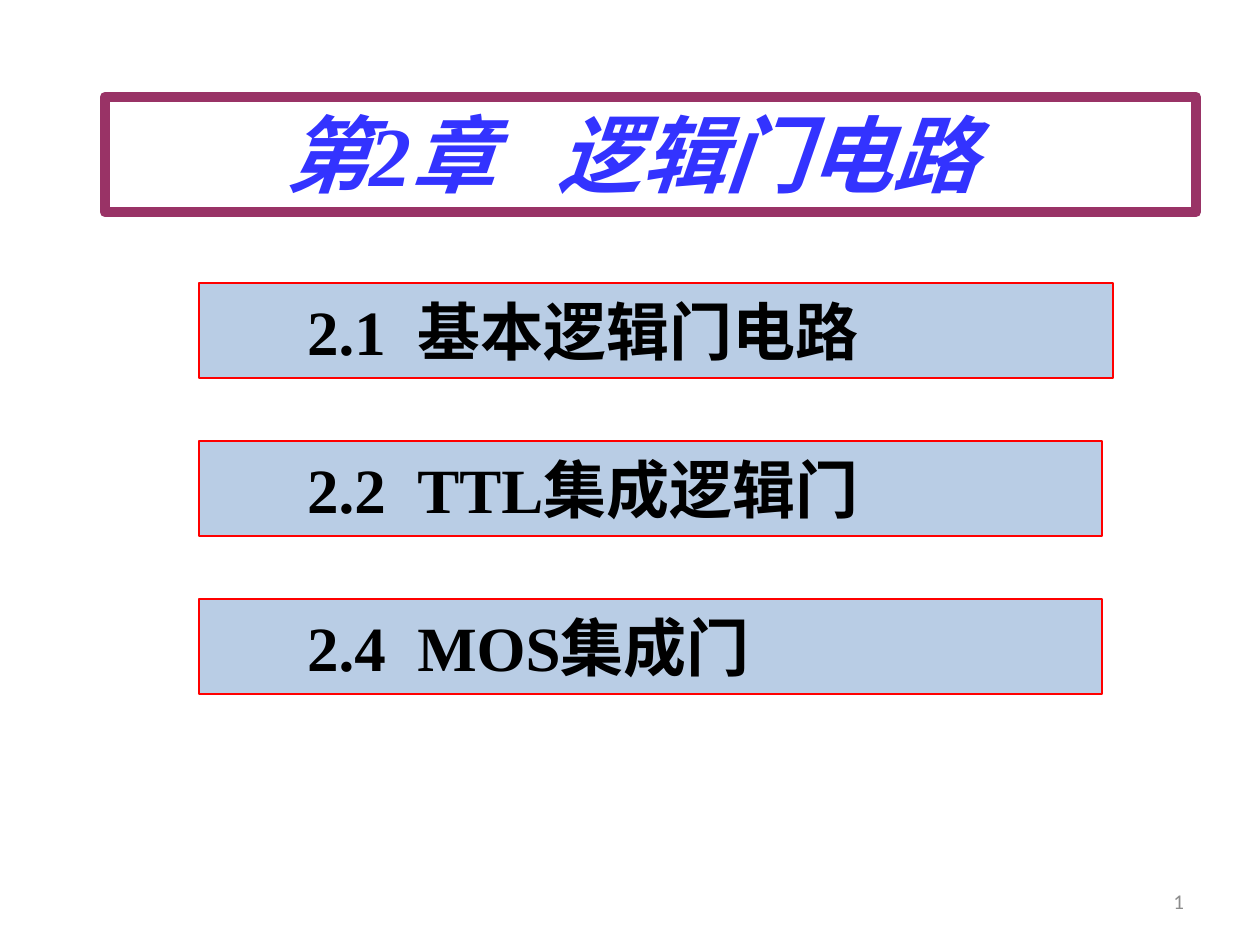
from dataclasses import dataclass
from pptx import Presentation
from pptx.dml.color import RGBColor
from pptx.enum.shapes import MSO_SHAPE
from pptx.enum.text import MSO_ANCHOR, MSO_AUTO_SIZE, PP_ALIGN
from pptx.util import Emu, Pt

SCALE = 914400 / 126


def px(n):
    return Emu(round(n * SCALE))


@dataclass(frozen=True)
class Theme:
    serif: str = "Times New Roman"
    sans: str = "Calibri"
    blue: str = "3333FF"
    plum: str = "993366"
    pale: str = "B9CDE5"
    red: str = "FF0000"
    black: str = "000000"
    gray: str = "8C8C8C"
    head: int = 48
    item: int = 36
    note: int = 12


def color(code):
    return RGBColor.from_string(code)


def write(para, text, font, size, ink, bold=False, slant=False, space=0):
    run = para.add_run()
    run.text = text
    face = run.font
    face.name, face.size = font, Pt(size)
    face.bold, face.italic = bold, slant
    face.color.rgb = color(ink)
    if space:
        run._r.get_or_add_rPr().set("spc", str(space * 100))


class Deck:
    def __init__(self, theme, slide):
        self.theme = theme
        self.slide = slide

    def place(self, shape, x, y, w, h):
        shape.left, shape.top = px(x), px(y)
        shape.width, shape.height = px(w), px(h)

    def frame(self, shape, anchor, align, left=13, right=13):
        frame = shape.text_frame
        frame.word_wrap = True
        frame.vertical_anchor = anchor
        frame.margin_left, frame.margin_right = px(left), px(right)
        frame.margin_top = frame.margin_bottom = px(6)
        para = frame.paragraphs[0]
        para.alignment = align
        return para

    def pair(self, para, lead, text, gap, **look):
        write(para, lead, **look)
        write(para, " ", space=gap, **look)
        write(para, text, **look)

    def title(self, lead, text, x, y, w, h):
        t = self.theme
        shape = self.slide.shapes.title
        self.place(shape, x, y, w, h)
        shape.line.color.rgb = color(t.plum)
        shape.line.width = Pt(6)
        para = self.frame(shape, MSO_ANCHOR.TOP, PP_ALIGN.CENTER, right=51)
        shape.text_frame.auto_size = MSO_AUTO_SIZE.SHAPE_TO_FIT_TEXT
        self.pair(para, lead, text, 24, font=t.serif, size=t.head,
                  ink=t.blue, bold=True, slant=True)

    def button(self, lead, text, x, y, w, h, line):
        t = self.theme
        shape = self.slide.shapes.add_shape(
            MSO_SHAPE.ACTION_BUTTON_CUSTOM, px(x), px(y), px(w), px(h))
        shape.shadow.inherit = False
        shape.fill.solid()
        shape.fill.fore_color.rgb = color(t.pale)
        shape.line.color.rgb = color(t.red)
        shape.line.width = Pt(line)
        para = self.frame(shape, MSO_ANCHOR.MIDDLE, PP_ALIGN.LEFT, left=108)
        self.pair(para, lead, text, 9, font=t.serif, size=t.item,
                  ink=t.black, bold=True)

    def number(self, text, x, y, w, h):
        t = self.theme
        shape = self.slide.shapes.add_textbox(px(x), px(y), px(w), px(h))
        para = self.frame(shape, MSO_ANCHOR.MIDDLE, PP_ALIGN.RIGHT)
        write(para, text, font=t.sans, size=t.note, ink=t.gray)


def main():
    prs = Presentation()
    prs.slide_width, prs.slide_height = px(1260), px(945)
    deck = Deck(Theme(), prs.slides.add_slide(prs.slide_layouts[5]))
    deck.title("第2章", "逻辑门电路", 105, 97, 1091, 115)
    items = [
        ("2.1", "基本逻辑门电路", 914, 0.75),
        ("2.2", "TTL集成逻辑门", 903, 0.75),
        ("2.4", "MOS集成门", 903, 1.5),
    ]
    for row, (lead, text, wide, line) in enumerate(items):
        deck.button(lead, text, 199, 283 + 158 * row, wide, 95, line)
    deck.number("1", 903, 876, 294, 50)
    prs.save("out.pptx")


if __name__ == "__main__":
    main()
